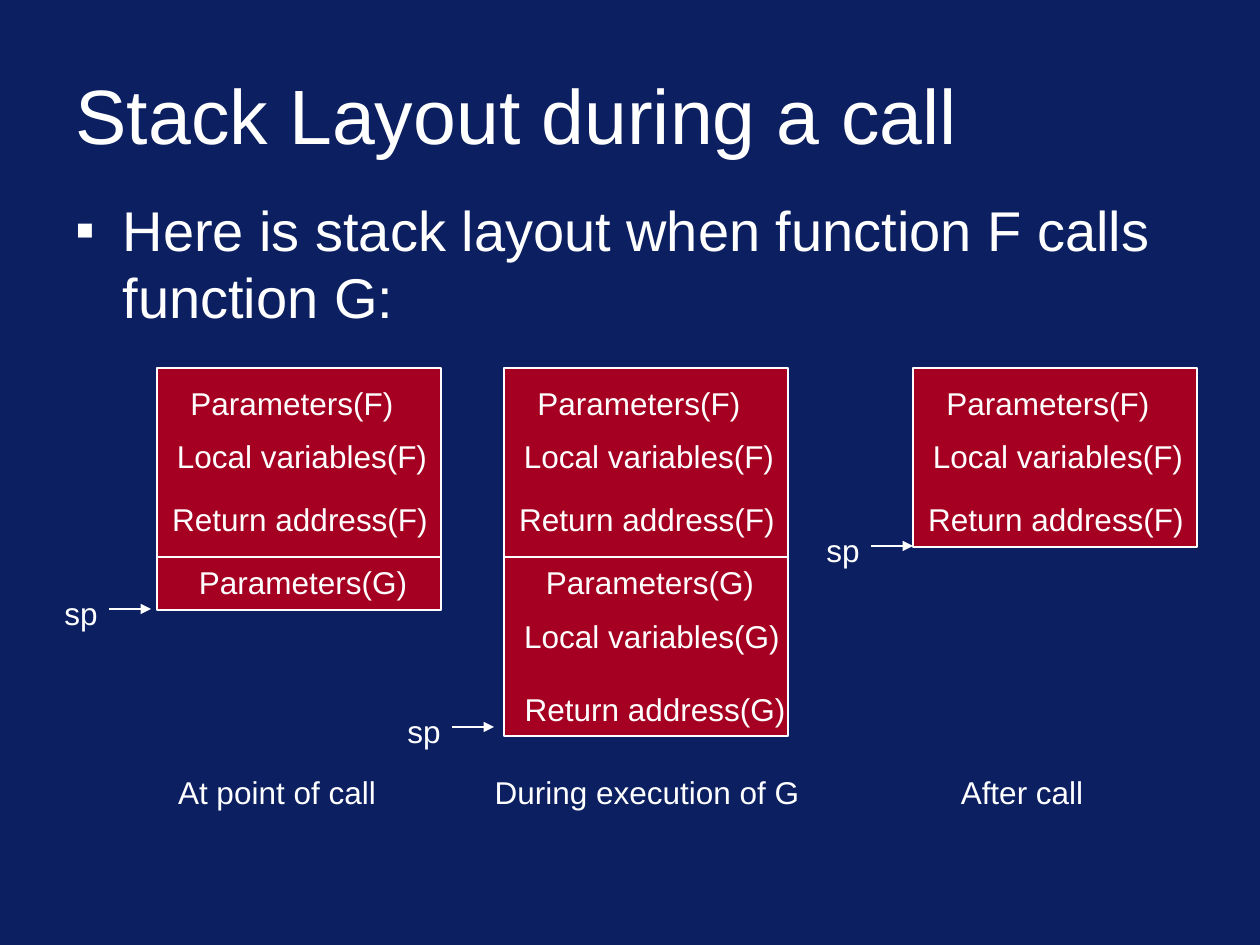
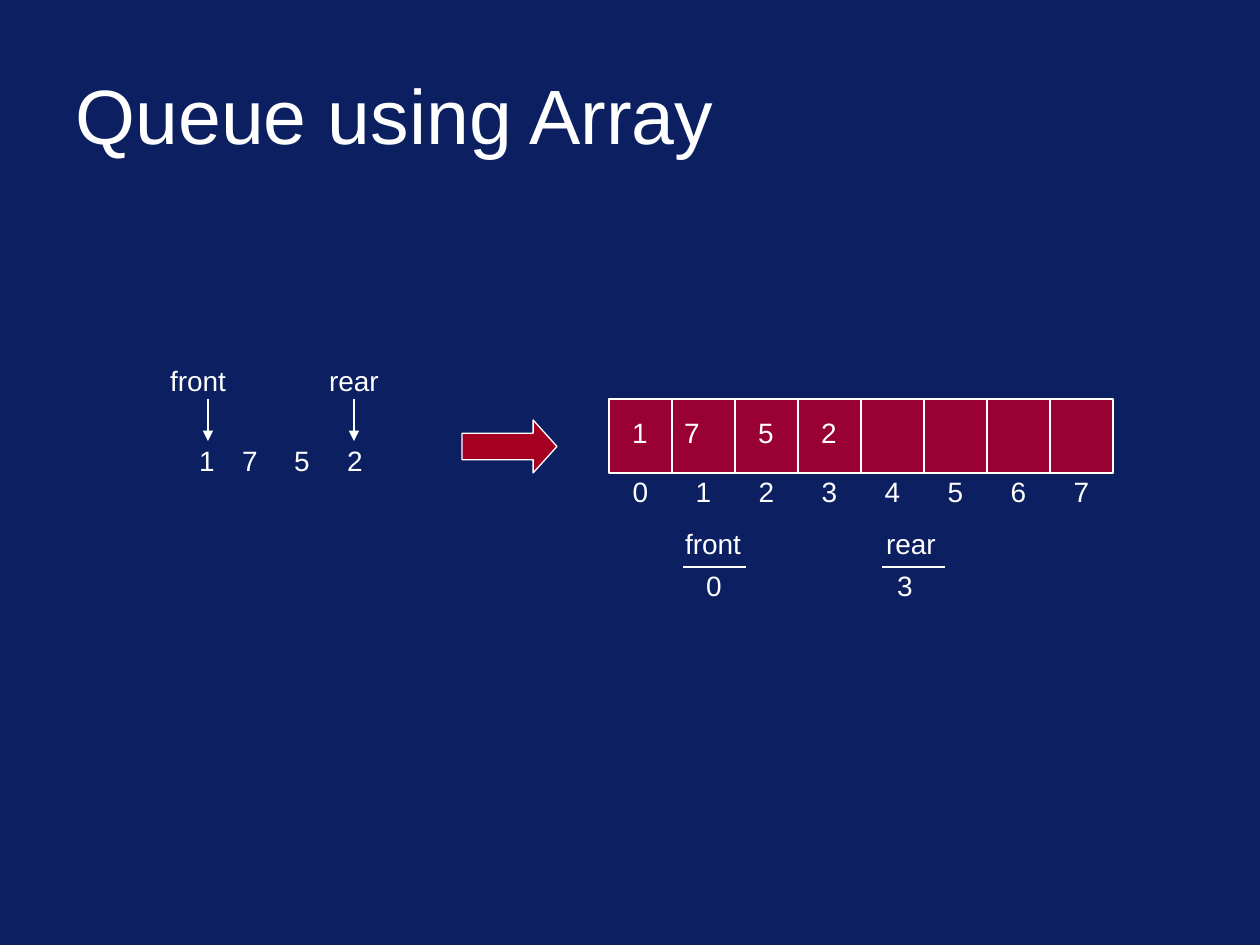
from pptx import Presentation
from pptx.dml.color import RGBColor
from pptx.enum.shapes import MSO_CONNECTOR as Link, MSO_SHAPE as Form
from pptx.enum.text import MSO_ANCHOR as Anchor, MSO_AUTO_SIZE as Fit, PP_ALIGN as Align
from pptx.oxml.ns import qn
from pptx.util import Pt
from lxml.etree import SubElement

SCALE = 914400 / 126
NAVY, WHITE, RED, WINE = "0B1F61", "FFFFFF", "A50021", "990033"
FACE = "Arial"
ROWS = [
    ("Parameters(F)", 135, 10, 228),
    ("Local variables(F)", 145, 63, 275),
    ("Return address(F)", 143, 126, 281),
    ("Parameters(G)", 146, 189, 233),
    ("Local variables(G)", 148, 243, 281),
    ("Return address(G)", 151, 316, 286),
]


def px(*sizes):
    return [round(size * SCALE) for size in sizes]


def hue(code):
    return RGBColor.from_string(code)


def style(para, size, align=Align.LEFT):
    para.alignment = align
    para.space_before = Pt(0)
    font = para.font
    font.name, font.size, font.color.rgb = FACE, Pt(size), hue(WHITE)


def text(slide, words, mid, top, width, size=18, align=Align.CENTER):
    height = 50 if size == 18 else 46
    frame = slide.shapes.add_textbox(*px(mid - width / 2, top, width, height)).text_frame
    frame.margin_left = frame.margin_right = 0
    frame.word_wrap = False
    frame.auto_size = Fit.NONE
    frame.text = words
    style(frame.paragraphs[0], size, align)


def block(slide, form, box, color):
    shape = slide.shapes.add_shape(form, *px(*box))
    shape.shadow.inherit = False
    shape.fill.solid()
    shape.fill.fore_color.rgb = hue(color)
    shape.line.color.rgb = hue(WHITE)
    shape.line.width = Pt(0.75)
    return shape


def rule(slide, *ends, head=False):
    link = slide.shapes.add_connector(Link.STRAIGHT, *px(*ends))
    link.line.color.rgb = hue(WHITE)
    link.line.width = Pt(0.75)
    if head:
        SubElement(link.line._get_or_add_ln(), qn("a:tailEnd"), type="triangle")
    SubElement(link._element.spPr, qn("a:effectLst"))


def place(holder, box, words):
    holder.left, holder.top, holder.width, holder.height = px(*box)
    frame = holder.text_frame
    frame.auto_size = Fit.NONE
    frame.text = words
    return frame, frame.paragraphs[0]


def start(deck, layout, words):
    slide = deck.slides.add_slide(deck.slide_layouts[layout])
    frame, para = place(slide.shapes.title, (63, 51, 1134, 126), words)
    frame.vertical_anchor = Anchor.MIDDLE
    style(para, 44)
    return slide


def lead(slide, words):
    frame, para = place(slide.placeholders[1], (63, 189, 1134, 168), words)
    frame.vertical_anchor = Anchor.TOP
    props = para._p.get_or_add_pPr()
    dent = px(47)[0]
    props.set("marL", str(dent))
    props.set("indent", str(-dent))
    tint = SubElement(props, qn("a:buClr"))
    SubElement(tint, qn("a:srgbClr"), val=WHITE)
    SubElement(props, qn("a:buFont"), typeface=FACE)
    SubElement(props, qn("a:buChar"), char="▪")
    style(para, 32)


def stack(slide, left, top, height, count):
    width = 284
    block(slide, Form.RECTANGLE, (left, top, width, height), RED)
    for words, mid, drop, span in ROWS[:count]:
        text(slide, words, left + mid, top + drop, span)
    if count > 3:
        rule(slide, left, top + 189, left + width, top + 189)


def mark(slide, tip, y):
    text(slide, "sp", tip - 70, y - 21, 58)
    rule(slide, tip - 42, y, tip, y, head=True)


def calls(deck):
    slide = start(deck, 1, "Stack Layout during a call")
    lead(slide, "Here is stack layout when function F calls function G:")
    top = 368
    stages = [
        (157, 242, 4, -6, 241, "At point of call", 277, 223),
        (504, 368, 6, -10, 359, "During execution of G", 647, 330),
        (913, 179, 3, 0, 178, "After call", 1022, 147),
    ]
    for left, height, count, gap, drop, words, mid, span in stages:
        stack(slide, left, top, height, count)
        mark(slide, left + gap, top + drop)
        text(slide, words, mid, 767, span)


def queue(slide, left, top):
    for words, mid, span, tip in (("front", 28, 81, 38), ("rear", 184, 74, 184)):
        text(slide, words, left + mid, top, span, size=16)
        rule(slide, left + tip, top + 42, left + tip, top + 84, head=True)
    for digit, mid in zip("1752", (37, 80, 132, 185)):
        text(slide, digit, left + mid, top + 80, 40, size=16)


def tally(slide, left, top, words, digit, mid, spot):
    text(slide, words, left + mid, top, 81, size=16)
    rule(slide, left, top + 47, left + 63, top + 47)
    text(slide, digit, left + spot, top + 42, 40, size=16)


def array(slide, left, top):
    cell, height, count = 63, 74, 8
    block(slide, Form.RECTANGLE, (left, top, cell * count, height), WINE)
    for i in range(count):
        x = left + i * cell
        if i:
            rule(slide, x, top, x, top + height)
        text(slide, str(i), x + cell / 2, top + 69, 40, size=16)
    for digit, mid in zip("1752", (31, 83, 157, 220)):
        text(slide, digit, left + mid, top + 10, 40, size=16)
    tally(slide, left + 74, top + 121, "front", "0", 30, 31)
    tally(slide, left + 273, top + 121, "rear", "3", 29, 23)


def lists(deck):
    slide = start(deck, 5, "Queue using Array")
    queue(slide, 170, 357)
    arrow = block(slide, Form.RIGHT_ARROW, (462, 420, 95, 53), RED)
    arrow.adjustments[1] = 0.45
    array(slide, 609, 399)


def main():
    deck = Presentation()
    deck.slide_width, deck.slide_height = px(1260, 945)
    fill = deck.slide_master.background.fill
    fill.solid()
    fill.fore_color.rgb = hue(NAVY)
    calls(deck)
    lists(deck)
    deck.save("out.pptx")


if __name__ == "__main__":
    main()
